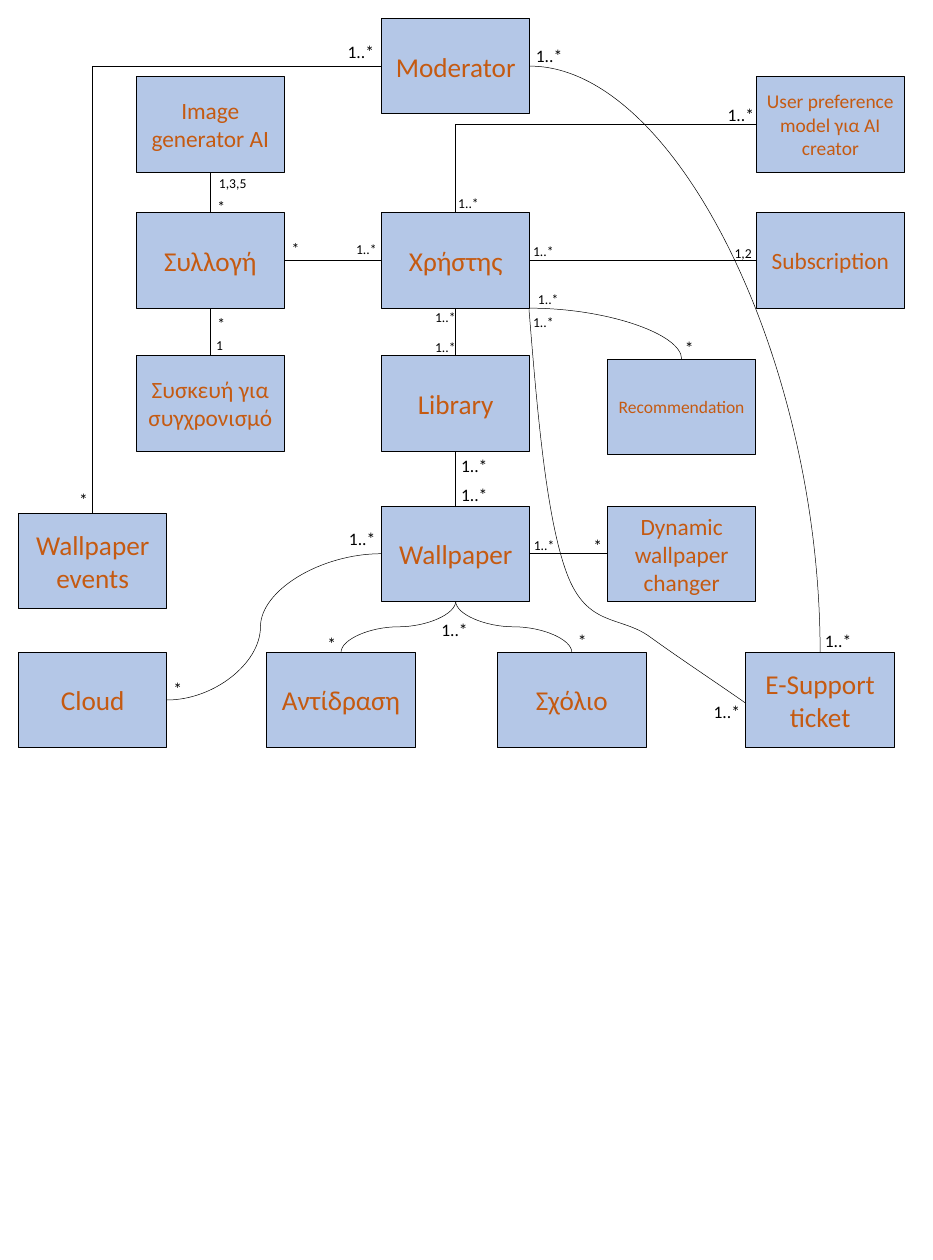
from lxml.etree import SubElement
from pptx import Presentation
from pptx.dml.color import RGBColor
from pptx.enum.shapes import MSO_CONNECTOR, MSO_SHAPE
from pptx.enum.text import MSO_ANCHOR, MSO_AUTO_SIZE, PP_ALIGN
from pptx.oxml.ns import qn
from pptx.util import Pt


def color(value):
    return RGBColor.from_string(value)


def apply(target, formats):
    for name, value in formats.items():
        setattr(target, name, value)


class Diagram:
    box_width, box_height = 152.8, 98
    box_fill, box_text, ink = "B4C7E7", "C55A11", "000000"
    box_frame = {"word_wrap": True, "vertical_anchor": MSO_ANCHOR.MIDDLE}
    label_frame = {"word_wrap": True, "auto_size": MSO_AUTO_SIZE.SHAPE_TO_FIT_TEXT}
    label_heights = {14: 24.5, 16: 26.6, 18: 29}
    sides = {"top": (0.5, 0), "left": (0, 0.5), "bottom": (0.5, 1),
             "right": (1, 0.5), "corner": (1, 1)}
    sites = ["top", "left", "bottom", "right"]

    def __init__(self, page):
        self.page = page
        self.boxes = {}

    def add_text(self, shape, text, size, ink, align, frame_formats):
        frame = shape.text_frame
        apply(frame, frame_formats)
        para = frame.paragraphs[0]
        para.alignment = align
        span = para.add_run()
        span.text = text
        apply(span.font, {"name": "Calibri", "size": Pt(size)})
        span.font.color.rgb = color(ink)

    def outline(self, shape, width):
        shape.line.color.rgb = color(self.ink)
        shape.line.width = Pt(width)

    def box(self, text, left, top, size):
        box = self.page.shapes.add_shape(
            MSO_SHAPE.RECTANGLE, Pt(left), Pt(top), Pt(self.box_width), Pt(self.box_height))
        box.shadow.inherit = False
        box.fill.solid()
        box.fill.fore_color.rgb = color(self.box_fill)
        self.outline(box, 1)
        self.add_text(box, text, size, self.box_text, PP_ALIGN.CENTER, self.box_frame)
        self.boxes[text] = box

    def label(self, text, left, top, size, width=44):
        box = self.page.shapes.add_textbox(
            Pt(left), Pt(top), Pt(width), Pt(self.label_heights[size]))
        self.add_text(box, text, size, self.ink, PP_ALIGN.LEFT, self.label_frame)

    def point(self, name, side):
        box = self.boxes[name]
        across, down = self.sides[side]
        return box.left + box.width * across, box.top + box.height * down

    def connect(self, start, start_side, end, end_side, preset="line", bend=None):
        x1, y1 = self.point(start, start_side)
        x2, y2 = self.point(end, end_side)
        turned = preset != "line" and start_side in ("top", "bottom")
        if turned:
            middle_x, middle_y = (x1 + x2) / 2, (y1 + y2) / 2
            half_x, half_y = (y2 - y1) / 2, (x1 - x2) / 2
            x1, y1 = middle_x - half_x, middle_y - half_y
            x2, y2 = middle_x + half_x, middle_y + half_y
        link = self.page.shapes.add_connector(
            MSO_CONNECTOR.STRAIGHT, int(x1), int(y1), int(x2), int(y2))
        properties = link._element.spPr
        if preset == "line":
            link.begin_connect(self.boxes[start], self.sites.index(start_side))
            link.end_connect(self.boxes[end], self.sites.index(end_side))
        geometry = properties.find(qn("a:prstGeom"))
        geometry.set("prst", preset)
        if turned:
            properties.find(qn("a:xfrm")).set("rot", "5400000")
        if bend:
            adjustments = geometry.find(qn("a:avLst"))
            if adjustments is None:
                adjustments = SubElement(geometry, qn("a:avLst"))
            SubElement(adjustments, qn("a:gd"), name="adj1", fmla=f"val {bend}")
        self.outline(link, 0.5)
        SubElement(properties, qn("a:effectLst"))

    def curve(self, start, segments):
        builder = self.page.shapes.build_freeform(Pt(start[0]), Pt(start[1]))
        builder.add_line_segments(
            [(Pt(x), Pt(y)) for *_, (x, y) in segments], close=False)
        curve = builder.convert_to_shape()
        lines = list(curve._element.iter(qn("a:lnTo")))
        for line, points in zip(lines, segments):
            line.clear()
            line.tag = qn("a:cubicBezTo")
            for x, y in points:
                SubElement(line, qn("a:pt"), x=str(Pt(x) - curve.left), y=str(Pt(y) - curve.top))
        curve.shadow.inherit = False
        curve.fill.background()
        self.outline(curve, 0.5)


BOXES = [
    ("Χρήστης", 392.5, 219, 28),
    ("Image generator AI", 140, 79, 24),
    ("Recommendation", 625, 369.5, 18),
    ("Library", 392.5, 366, 28),
    ("Wallpaper events", 19, 528, 28),
    ("Dynamic wallpaper changer", 625, 520.5, 24),
    ("Moderator", 392.5, 19, 28),
    ("User preference model για AI creator", 778, 79, 20),
    ("Cloud", 19, 671, 28),
    ("E-Support ticket", 767.5, 671, 28),
    ("Subscription", 778, 219, 24),
    ("Wallpaper", 392.5, 520.5, 28),
    ("Συσκευή για συγχρονισμό", 140, 366, 24),
    ("Αντίδραση", 274.5, 671, 28),
    ("Σχόλιο", 512, 671, 28),
    ("Συλλογή", 140, 219, 28),
]
LINKS = [
    ("Χρήστης", "right", "Subscription", "left"),
    ("Χρήστης", "left", "Συλλογή", "right"),
    ("Συλλογή", "bottom", "Συσκευή για συγχρονισμό", "top"),
    ("Χρήστης", "bottom", "Library", "top"),
    ("Library", "bottom", "Wallpaper", "top"),
    ("Wallpaper", "bottom", "Αντίδραση", "top", "curvedConnector3"),
    ("Wallpaper", "bottom", "Σχόλιο", "top", "curvedConnector3"),
    ("Χρήστης", "corner", "Recommendation", "top", "curvedConnector2"),
    ("Moderator", "left", "Wallpaper events", "top", "bentConnector2"),
    ("Wallpaper", "right", "Dynamic wallpaper changer", "left"),
    ("Wallpaper", "left", "Cloud", "right", "curvedConnector3", 56400),
    ("Image generator AI", "bottom", "Συλλογή", "top"),
    ("Χρήστης", "top", "User preference model για AI creator", "left", "bentConnector2"),
    ("Moderator", "right", "E-Support ticket", "top", "curvedConnector2"),
]
TICKET_CURVE = [
    [(553, 426.2), (562.3, 533.5), (583.2, 589.7)],
    [(604.1, 645.8), (638.6, 632.9), (668.9, 655.2)],
    [(699.8, 677.5), (733.7, 699.8), (766.8, 722.9)],
]
MANY_LABELS = {
    18: [(350.6, 39), (544.3, 42.5), (841.7, 644.4), (727.2, 717), (447, 633.6),
         (352, 540), (467.3, 494.6), (741.6, 103), (467.3, 464.4)],
    14: [(541.4, 319), (546.5, 295.2), (440.6, 314.6), (440.6, 345), (541.4, 246.2),
         (464.4, 197.3), (359.3, 244), (542.2, 548.6)],
}
STAR_LABELS = {
    18: [(74.2, 499), (697.7, 343.4), (329.8, 648), (587.5, 644.4), (603.4, 546.5),
         (171.4, 694)],
    16: [(293, 242.6), (216.7, 319), (216.7, 198.7)],
}
NUMBER_LABELS = [("1,2", 748.8, 248.4), ("1,3,5", 218.2, 176.4), ("1", 215.3, 343.4)]


def main():
    deck = Presentation()
    deck.slide_width, deck.slide_height = Pt(960), Pt(1296)
    diagram = Diagram(deck.slides.add_slide(deck.slide_layouts[6]))
    for box in BOXES:
        diagram.box(*box)
    for link in LINKS:
        diagram.connect(*link)
    diagram.curve((544.3, 318.2), TICKET_CURVE)
    for text, groups, widths in (("1..*", MANY_LABELS, {}), ("*", STAR_LABELS, {18: 21})):
        for size, places in groups.items():
            for left, top in places:
                diagram.label(text, left, top, size, widths.get(size, 44))
    for text, left, top in NUMBER_LABELS:
        diagram.label(text, left, top, 14)
    deck.save("out.pptx")


if __name__ == "__main__":
    main()
